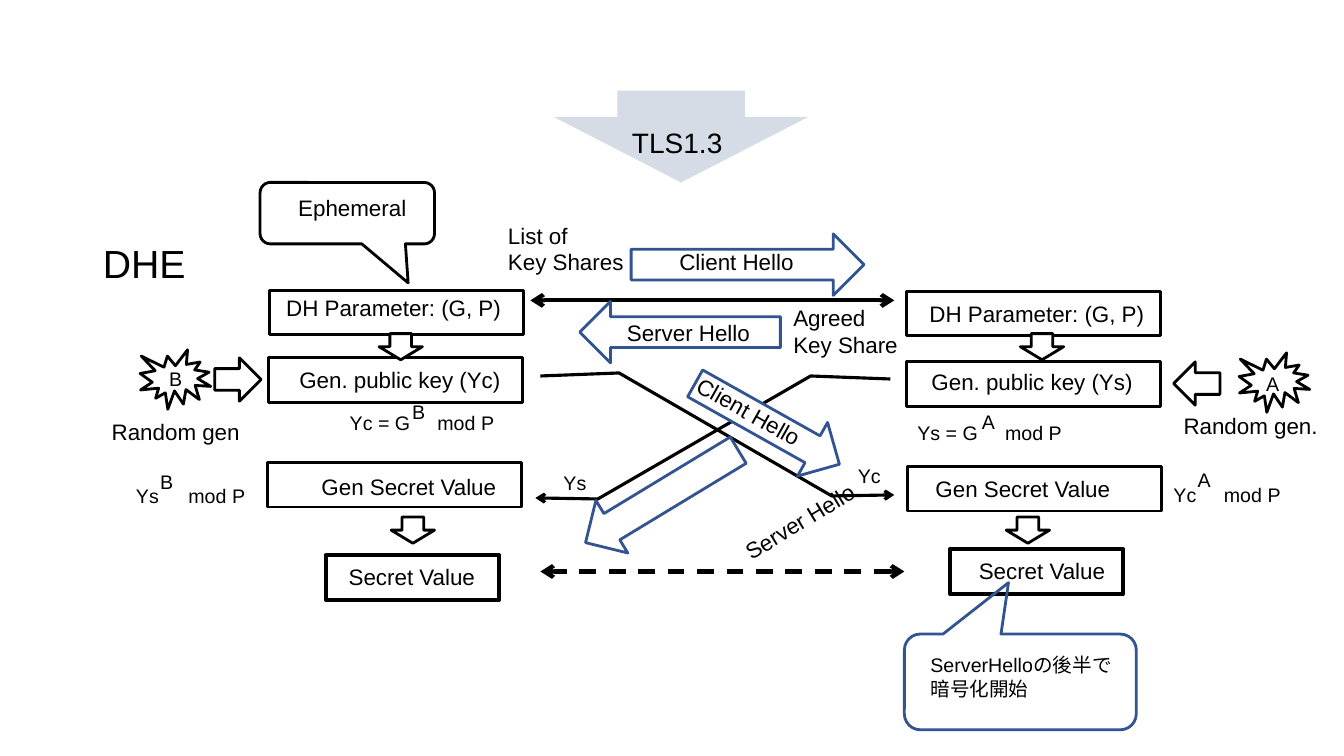
from dataclasses import dataclass

from lxml.etree import SubElement
from pptx import Presentation
from pptx.dml.color import RGBColor
from pptx.enum.dml import MSO_LINE
from pptx.enum.shapes import MSO_CONNECTOR, MSO_SHAPE as Preset
from pptx.enum.text import MSO_ANCHOR, MSO_AUTO_SIZE, PP_ALIGN
from pptx.oxml.ns import qn
from pptx.util import Inches, Pt


@dataclass(frozen=True)
class Theme:
    """Colours, font and sizes of the slide."""
    font: str = "Arial"
    black: RGBColor = RGBColor(0, 0, 0)
    white: RGBColor = RGBColor(255, 255, 255)
    blue: RGBColor = RGBColor(0x32, 0x54, 0x91)
    pale: RGBColor = RGBColor(0xD6, 0xDC, 0xE5)
    title: int = 28
    heading: int = 20
    body: int = 16
    small: int = 14


theme = Theme()
deck = Presentation()
deck.slide_width, deck.slide_height = Inches(13.33), Inches(7.5)
slide = deck.slides.add_slide(deck.slide_layouts[5])
shapes = slide.shapes


def add_preset(preset, area, fill=None, line=theme.black, weight=2, turn=0, adjust=()):
    """Add a preset shape with the given area, fill and outline."""
    shape = shapes.add_shape(preset, *map(Inches, area))
    shape.shadow.inherit = False
    shape.rotation = turn
    for index, value in enumerate(adjust):
        shape.adjustments[index] = value
    if fill is None:
        shape.fill.background()
    else:
        shape.fill.solid()
        shape.fill.fore_color.rgb = fill
    if line is None:
        shape.line.fill.background()
    else:
        shape.line.color.rgb = line
        shape.line.width = Pt(weight)
    return shape


def add_label(lines, area, size=theme.body, turn=0, wrap=True, tab=None, box=None):
    """Write lines into a text box, one paragraph each, with an optional tab stop."""
    box = box or shapes.add_textbox(0, 0, 0, 0)
    box.left, box.top, box.width, box.height = map(Inches, area)
    box.rotation = turn
    frame = box.text_frame
    frame.word_wrap = wrap
    frame.auto_size = MSO_AUTO_SIZE.NONE
    frame.vertical_anchor = MSO_ANCHOR.TOP
    for index, line in enumerate(lines):
        para = frame.add_paragraph() if index else frame.paragraphs[0]
        para.alignment = PP_ALIGN.LEFT
        span = para.add_run()
        span.text = line
        span.font.name = theme.font
        span.font.size = Pt(size)
        span.font.color.rgb = theme.black
        if tab:
            stops = SubElement(para._p.get_or_add_pPr(), qn("a:tabLst"))
            SubElement(stops, qn("a:tab"), pos=str(Inches(tab)), algn="l")
    return box


# Heading
add_label(["DHE"], (0.92, 2.32, 1.2, 0.57), theme.title, box=shapes.title)
add_preset(Preset.DOWN_ARROW, (5.49, 0.9, 2.53, 0.91), theme.pale, None, adjust=(0.5, 0.716))
add_label(["TLS1.3"], (6.17, 1.2, 1.54, 0.44), theme.heading)

# Steps on the client (left) and the server (right)
STEP_WIDTH, RESULT_WIDTH, STEP_HEIGHT, LABEL_HEIGHT = 2.52, 1.72, 0.44, 0.37
steps = [
    ("DH Parameter: (G, P)", 2.67, 2.88, 2.74, 2.87),
    ("Gen. public key (Yc)", 2.66, 3.55, 2.87, 3.58),
    ("Gen Secret Value", 2.65, 4.59, 3.09, 4.64),
    ("Secret Value", 3.23, 5.51, 3.36, 5.54),
    ("DH Parameter: (G, P)", 8.99, 2.89, 9.12, 2.93),
    ("Gen. public key (Ys)", 8.99, 3.59, 9.14, 3.6),
    ("Gen Secret Value", 9, 4.63, 9.18, 4.66),
    ("Secret Value", 9.42, 5.45, 9.61, 5.48),
]
for text, left, top, text_left, text_top in steps:
    is_result = text == "Secret Value"
    width, weight = (RESULT_WIDTH, 3) if is_result else (STEP_WIDTH, 2)
    add_preset(Preset.RECTANGLE, (left, top, width, STEP_HEIGHT), theme.white, weight=weight)
    add_label([text], (text_left, text_top, STEP_WIDTH, LABEL_HEIGHT))

for left, top in [(3.76, 3.31), (10.12, 3.31), (3.88, 5.13), (9.98, 5.13)]:
    add_preset(Preset.DOWN_ARROW, (left, top, 0.43, 0.26), theme.white)

# Random numbers
for left, top in [(1.39, 3.47), (12.29, 3.5)]:
    add_preset(Preset.EXPLOSION1, (left, top, 0.7, 0.59))
add_preset(Preset.RIGHT_ARROW, (2.13, 3.55, 0.46, 0.43), theme.white)
add_preset(Preset.LEFT_ARROW, (11.64, 3.59, 0.46, 0.43), theme.white)
add_label(["Random gen"], (1.01, 4.1, 1.87, LABEL_HEIGHT))
add_label(["Random gen."], (11.64, 4.04, 1.6, LABEL_HEIGHT))

# Formulas, with a gap for the raised exponent
for text, left, top, width, tab in [
    ("Yc = G\tmod P", 3.37, 4.03, 1.7, 0.87),
    ("Ys = G\tmod P", 9, 4.13, 1.79, 0.87),
    ("Ys\tmod P", 1.25, 4.75, 1.35, 0.52),
    ("Yc\tmod P", 11.54, 4.74, 1.35, 0.5),
]:
    add_label([text], (left, top, width, 0.34), theme.small, tab=tab)
for text, left, top in [
    ("B", 3.99, 3.92), ("A", 9.64, 4.02), ("B", 1.49, 4.61), ("A", 11.78, 4.59),
    ("B", 1.58, 3.59), ("A", 12.46, 3.64), ("Ys", 5.49, 4.62), ("Yc", 8.41, 4.55),
]:
    add_label([text], (left, top, 0.5, 0.34), theme.small)

# Two-way links
links = []
for left, right, y, dash in [(5.26, 8.87, 2.98, None), (5.36, 8.97, 5.67, MSO_LINE.DASH)]:
    link = shapes.add_connector(MSO_CONNECTOR.STRAIGHT, *map(Inches, (right, y, left, y)))
    link.line.width = Pt(3)
    link.line.dash_style = dash
    SubElement(link.element.spPr, qn("a:effectLst"))
    links.append((link, ("a:headEnd", "a:tailEnd")))

# Crossing key exchange
for start, *bends in [
    [(5.36, 3.73), (6.14, 3.7), (8.25, 4.92), (8.87, 4.91)],
    [(8.83, 3.76), (8.04, 3.73), (5.93, 4.95), (5.31, 4.94)],
]:
    outline = shapes.build_freeform(*map(Inches, start))
    outline.add_line_segments([tuple(map(Inches, bend)) for bend in bends], close=False)
    exchange = outline.convert_to_shape()
    exchange.shadow.inherit = False
    exchange.fill.background()
    exchange.line.width = Pt(2.25)
    links.append((exchange, ("a:tailEnd",)))

for link, ends in links:
    link.line.color.rgb = theme.black
    for end in ends:
        SubElement(link.element.spPr.find(qn("a:ln")), qn(end), type="arrow")

# Hello messages
for preset, area, turn, fill, text, text_area in [
    (Preset.RIGHT_ARROW, (6.26, 2.32, 2.31, 0.61), 0, None,
     "Client Hello", (6.64, 2.41, 1.46, LABEL_HEIGHT)),
    (Preset.LEFT_ARROW, (5.75, 2.99, 1.99, 0.61), 0, None,
     "Server Hello", (6.12, 3.12, 1.43, LABEL_HEIGHT)),
    (Preset.RIGHT_ARROW, (6.79, 3.9, 1.64, 0.61), 29.3, theme.white,
     "Client Hello", (6.76, 3.9, 1.34, LABEL_HEIGHT)),
    (Preset.LEFT_ARROW, (5.68, 4.62, 1.77, 0.61), 328.8, None,
     "Server Hello", (7.22, 4.98, 1.45, LABEL_HEIGHT)),
]:
    add_preset(preset, area, fill, theme.blue, turn=turn)
    add_label([text], text_area, turn=turn, wrap=False)
add_label(["List of", "Key Shares"], (4.94, 2.15, 1.46, 0.64))
add_label(["Agreed Key Share"], (7.77, 2.97, 1.28, 0.64))

# Callouts
add_preset(Preset.ROUNDED_RECTANGULAR_CALLOUT, (2.58, 1.81, 1.73, 0.61), theme.white,
           adjust=(0.349, 1.134, 0.167))
add_label(["Ephemeral"], (2.86, 1.88, 1.46, LABEL_HEIGHT))
add_preset(Preset.ROUNDED_RECTANGULAR_CALLOUT, (8.97, 6.29, 2.3, 0.95), line=theme.blue,
           adjust=(-0.051, -1.037, 0.167))
add_label(["ServerHelloの後半で", "暗号化開始"], (9.13, 6.43, 2.14, 0.57), theme.small)

deck.save("out.pptx")
